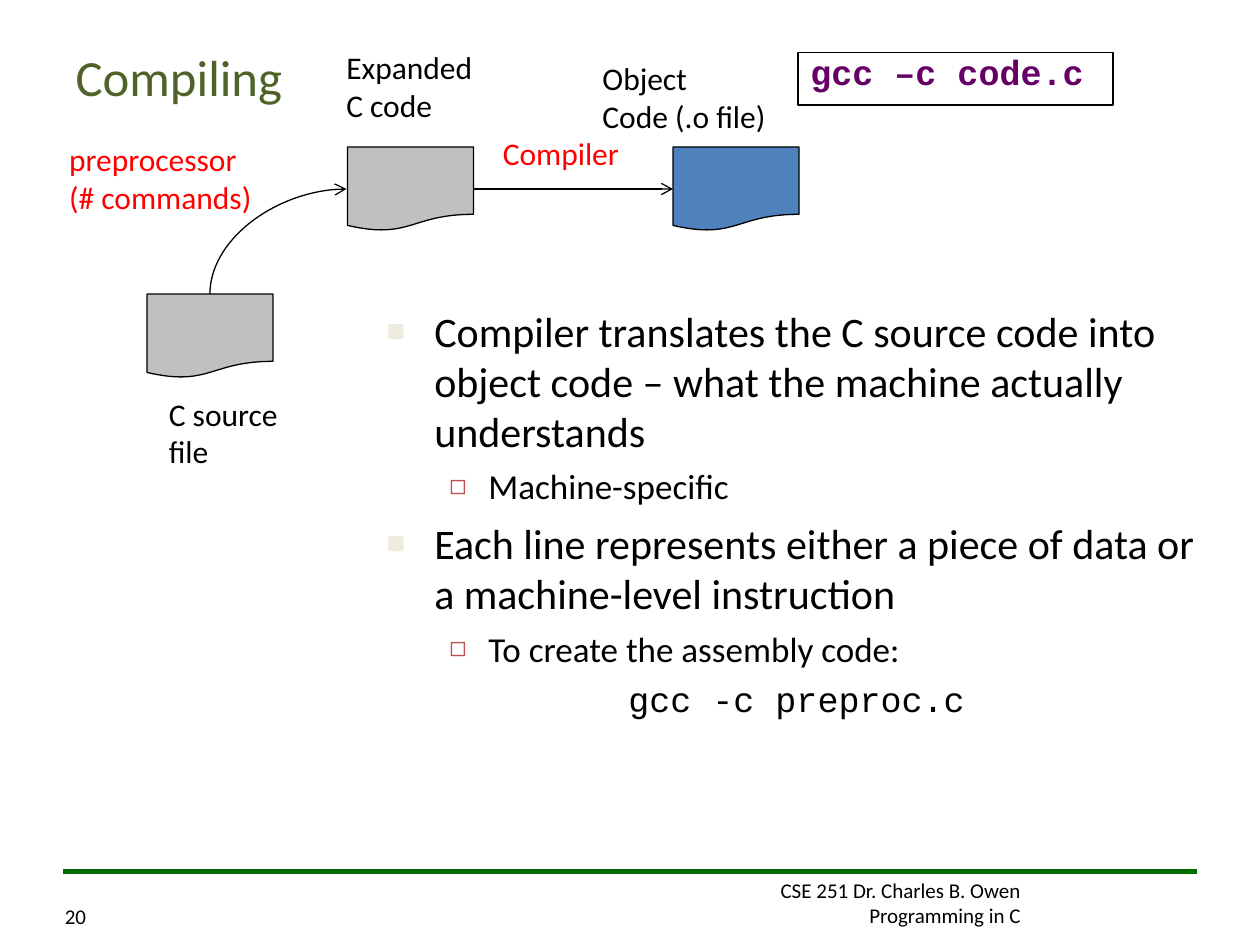
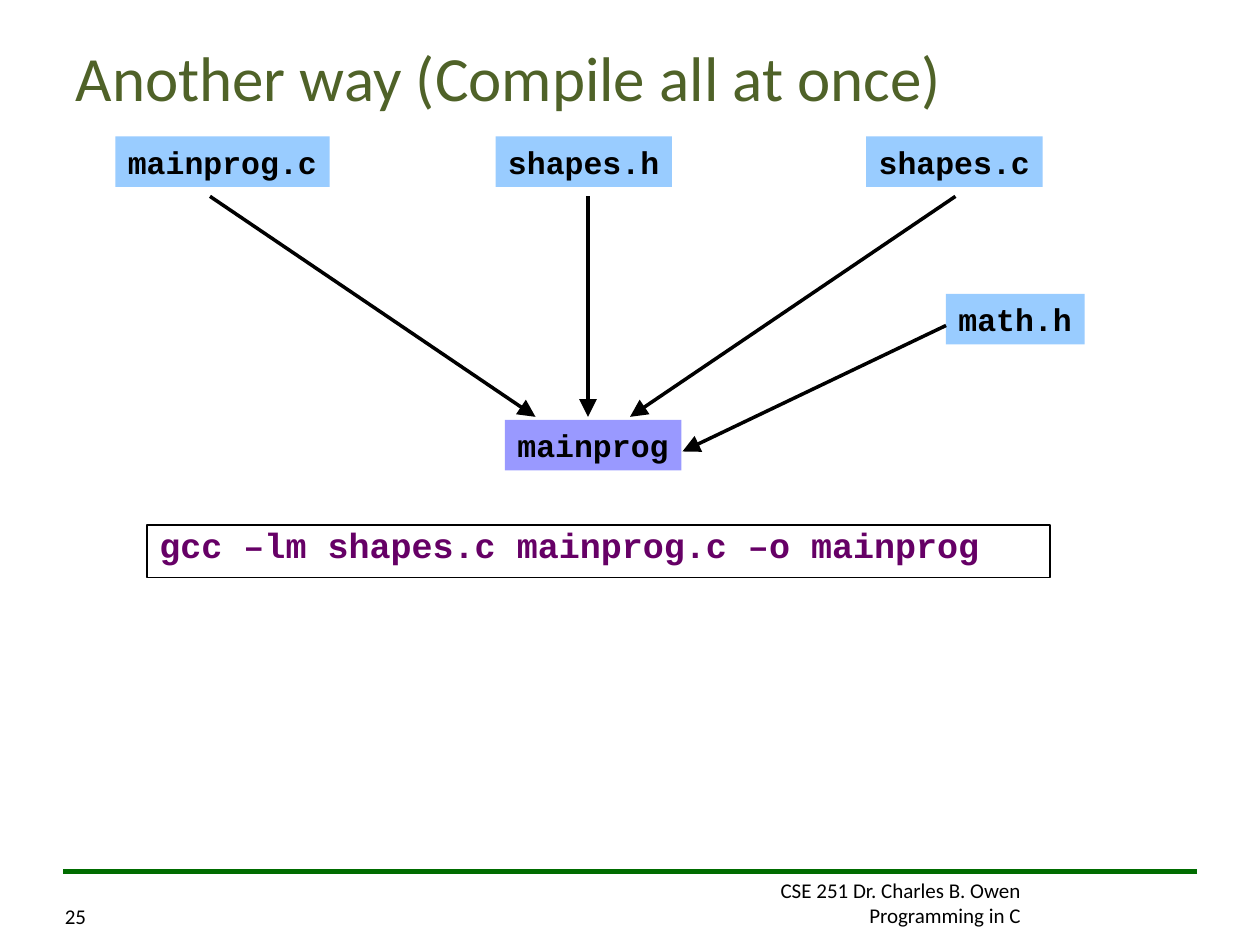
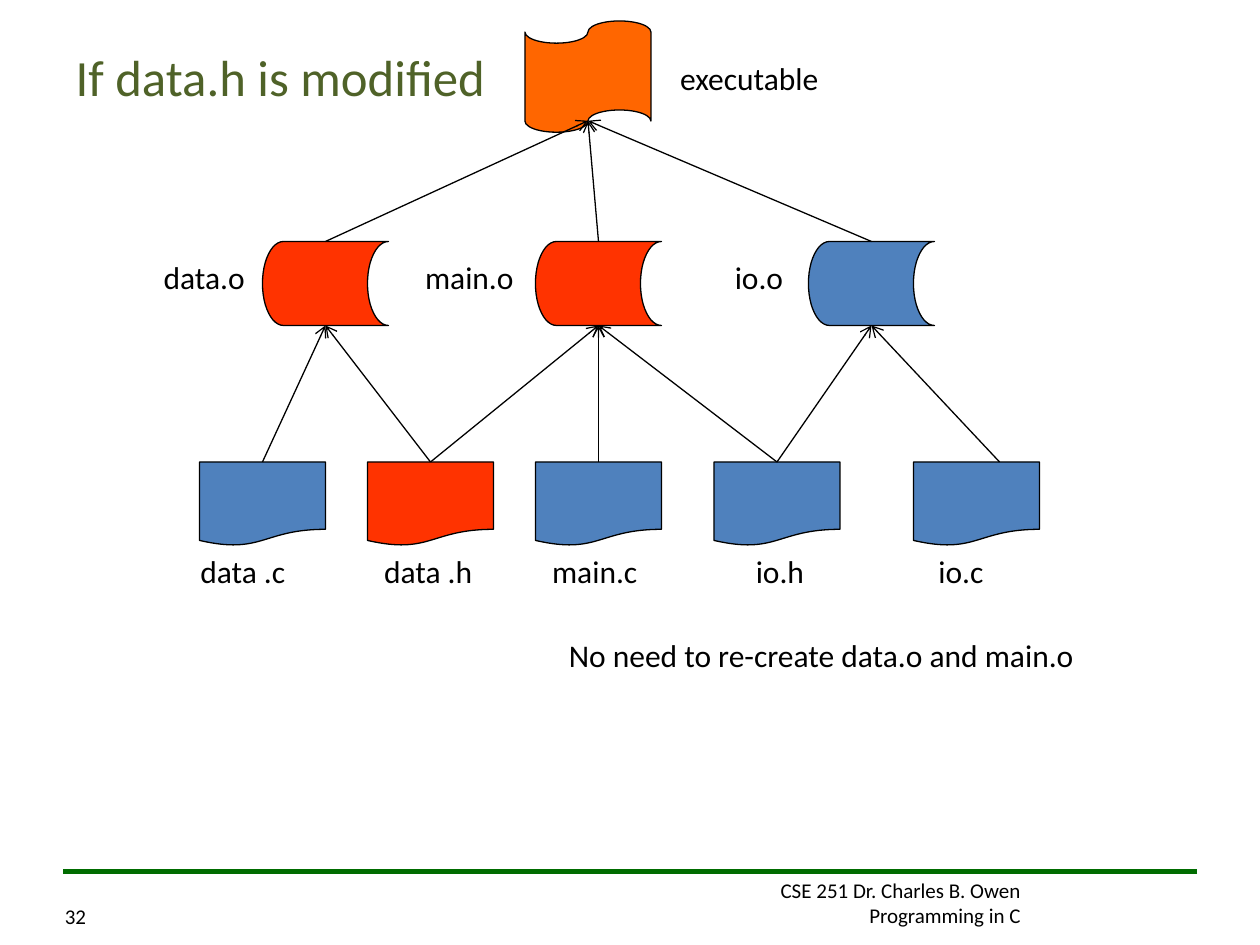
"""Build three slides on compiling C programs, laid out on a grid of 120 columns by 90 rows."""
import pptx
import pptx.dml.color
import pptx.enum.shapes
import pptx.enum.text
import pptx.oxml
import pptx.oxml.ns
import pptx.util
from lxml import etree

PRESETS = pptx.enum.shapes.MSO_SHAPE
LINES = pptx.enum.shapes.MSO_CONNECTOR
ALIGN = pptx.enum.text.PP_ALIGN
ANCHOR = pptx.enum.text.MSO_ANCHOR
AUTOSIZE = pptx.enum.text.MSO_AUTO_SIZE
qn = pptx.oxml.ns.qn

COLORS = {
    "ink": "000000", "title": "4F6228", "rule": "006C00", "step": "FF0000",
    "command": "660066", "paper": "FFFFFF", "source": "C0C0C0", "object": "4F81BD",
    "changed": "FF3300", "program": "FF6600", "file": "99CCFF", "target": "9999FF",
    "bullet": "EEECE1", "subbullet": "C0504D",
}
RGB = {part: pptx.dml.color.RGBColor.from_string(code) for part, code in COLORS.items()}
BODY_FONT, CODE_FONT = "Calibri", "Courier New"

deck = pptx.Presentation()
deck.slide_width, deck.slide_height = pptx.util.Inches(10), pptx.util.Inches(7.5)
CELL = deck.slide_width / 120


def place(slide, box, text="", preset=None, fill=None, edge=False, size=18, color="ink",
          font=BODY_FONT, bold=False, wrap=False, align=ALIGN.LEFT, anchor=ANCHOR.TOP, spacing=None):
    """Add a text box, or a filled preset shape, on grid cells."""
    frame = [round(cells * CELL) for cells in box]
    if preset is None:
        item = slide.shapes.add_textbox(*frame)
    else:
        item = slide.shapes.add_shape(preset, *frame)
        item.shadow.inherit = False
        item.fill.solid()
        item.fill.fore_color.rgb = RGB[fill]
        if edge:
            item.line.color.rgb = RGB["ink"]
            item.line.width = pptx.util.Pt(0.75)
        else:
            item.line.fill.background()
    if text:
        item.text_frame.text = text
        item.text_frame.word_wrap = wrap
        item.text_frame.vertical_anchor = anchor
        for paragraph in item.text_frame.paragraphs:
            paragraph.alignment = align
            paragraph.line_spacing = spacing
            for run in paragraph.runs:
                run.font.name, run.font.size, run.font.bold = font, pptx.util.Pt(size), bold
                run.font.color.rgb = RGB[color]


def link(slide, start, end, width=0.75, color="ink", head=None, head_size="med", kind=LINES.STRAIGHT):
    """Draw a line between two grid points, with an optional arrowhead at its end."""
    line = slide.shapes.add_connector(kind, *[round(cells * CELL) for cells in start + end])
    line.line.color.rgb = RGB[color]
    line.line.width = pptx.util.Pt(width)
    properties = line.element.spPr
    if head:
        etree.SubElement(properties.find(qn("a:ln")), qn("a:tailEnd"),
                         type=head, w=head_size, len=head_size)
    etree.SubElement(properties, qn("a:effectLst"))
    return line


slides = []
for title, size, number, layout in [
    ("Compiling", 29, "20", 1),
    ("Another way (Compile all at once)", 36, "25", 5),
    ("If data.h is modified", 29, "32", 5),
]:
    slide = deck.slides.add_slide(deck.slide_layouts[layout])
    heading = slide.shapes.title
    heading.left, heading.top, heading.width, heading.height = [
        round(cells * CELL) for cells in (6, 3.6, 108, 7.4)]
    heading.text_frame.text = title
    heading.text_frame.auto_size = AUTOSIZE.NONE
    heading.text_frame.vertical_anchor = ANCHOR.MIDDLE
    heading.text_frame.paragraphs[0].alignment = ALIGN.LEFT
    lettering = heading.text_frame.paragraphs[0].runs[0].font
    lettering.name, lettering.size = BODY_FONT, pptx.util.Pt(size)
    lettering.color.rgb = RGB["title"]
    place(slide, (58, 83, 40.4, 6), "CSE 251 Dr. Charles B. Owen\nProgramming in C",
          size=12, wrap=True, align=ALIGN.RIGHT)
    link(slide, (114, 83), (6, 83), 3, "rule")
    place(slide, (5, 83, 4.8, 6), number, size=12, anchor=ANCHOR.BOTTOM)
    slides.append(slide)
compiling, all_at_once, modified = slides

for left, top, stage in [(14, 28, "source"), (33.1, 14, "source"), (64.1, 14, "object")]:
    place(compiling, (left, top, 12, 8), preset=PRESETS.FLOWCHART_DOCUMENT, fill=stage, edge=True)
for box, caption, color in [
    ((14.9, 37, 13.5, 8.4), "C source\nfile", "ink"),
    ((5.4, 12.75, 20.5, 8.4), "preprocessor\n(# commands)", "step"),
    ((31.8, 4, 15, 8.4), "Expanded\nC code", "ink"),
    ((46.7, 12.15, 14.5, 4.8), "Compiler", "step"),
    ((56.2, 5.05, 18.5, 8.4), "Object\nCode (.o file)", "ink"),
]:
    place(compiling, box, caption, color=color)
preprocessing = link(compiling, (31.5, 29.5), (21.5, 16.5), head="arrow", kind=LINES.CURVE)
preprocessing.element.spPr.find(qn("a:prstGeom")).set("prst", "curvedConnector2")
preprocessing.element.spPr.find(qn("a:xfrm")).set("rot", "5400000")
link(compiling, (45.1, 18), (64.1, 18), head="arrow")

points = compiling.placeholders[1]
points.left, points.top, points.width, points.height = [
    round(cells * CELL) for cells in (35.6, 28.45, 80.8, 42.5)]
points.text_frame.auto_size = AUTOSIZE.NONE
points.text_frame.text = "\n".join([
    "Compiler translates the C source code into object code – what the machine actually understands",
    "Machine-specific",
    "Each line represents either a piece of data or a machine-level instruction",
    "To create the assembly code:",
    "gcc -c preproc.c",
])
LEVELS = [
    (24, 6, 0.38, 0.38, BODY_FONT, ("bullet", 75, "■")),
    (20, 5, 0.81, 0.31, BODY_FONT, ("subbullet", 80, "◻")),
    (20, 5, 1.92, 0, CODE_FONT, None),
]
for paragraph, level in zip(points.text_frame.paragraphs, [0, 1, 0, 1, 2]):
    size, gap, margin, hanging, font, bullet = LEVELS[level]
    paragraph.level = level
    paragraph.space_before = pptx.util.Pt(gap)
    paragraph.runs[0].font.name, paragraph.runs[0].font.size = font, pptx.util.Pt(size)
    paragraph.runs[0].font.color.rgb = RGB["ink"]
    properties = paragraph._p.get_or_add_pPr()
    properties.set("marL", str(pptx.util.Inches(margin)))
    properties.set("indent", str(-pptx.util.Inches(hanging)))
    if bullet:
        color, share, mark = bullet
        tint = etree.SubElement(properties, qn("a:buClr"))
        etree.SubElement(tint, qn("a:srgbClr"), val=COLORS[color])
        etree.SubElement(properties, qn("a:buSzPct"), val=str(share * 1000))
        etree.SubElement(properties, qn("a:buChar"), char=mark)
    else:
        etree.SubElement(properties, qn("a:buNone"))

for slide, box, command in [
    (compiling, (76, 5, 30, 5), "gcc –c code.c"),
    (all_at_once, (14, 50, 86, 5), "gcc –lm shapes.c mainprog.c –o mainprog"),
]:
    place(slide, box, command, PRESETS.RECTANGLE, "paper", True, 20, "command",
          CODE_FONT, True, wrap=True, spacing=0.8)

for left, top, name, role in [
    (11, 13, "mainprog.c", "file"), (47.2, 13, "shapes.h", "file"), (82.5, 13, "shapes.c", "file"),
    (90.1, 28, "math.h", "file"), (48.1, 40, "mainprog", "target"),
]:
    place(all_at_once, (left, top, 2.4 + 1.8 * len(name), 4.8), name, PRESETS.RECTANGLE, role,
          font=CODE_FONT, bold=True)
for start, end in [
    ((20, 18.7), (51, 39.7)), ((91, 18.7), (60, 39.7)),
    ((56, 18.7), (56, 39.7)), ((90.1, 31), (65, 43)),
]:
    link(all_at_once, start, end, 2, head="triangle", head_size="lg")

place(modified, (50, 2, 12, 10.6), preset=PRESETS.FLOWCHART_PUNCHED_TAPE, fill="program", edge=True)
place(modified, (63.6, 5, 16.5, 4.8), "executable")
for preset, top, label_top, row in [
    (PRESETS.FLOWCHART_STORED_DATA, 23, 24, [
        (25, "changed", "data.o", 14.4), (51, "changed", "main.o", 39.3),
        (77, "object", "io.o", 68.8)]),
    (PRESETS.FLOWCHART_DOCUMENT, 44, 52, [
        (19, "object", "data .c", 17.9), (35, "changed", "data .h", 35.4),
        (51, "object", "main.c", 51.4), (68, "object", "io.h", 70.8),
        (87, "object", "io.c", 88.2)]),
]:
    for left, state, name, label_left in row:
        place(modified, (left, top, 12, 8), preset=preset, fill=state, edge=True)
        place(modified, (label_left, label_top, 12, 4.8), name)
for source_x, object_x in [(25, 31), (41, 31), (41, 57), (57, 57), (74, 57), (74, 83), (95.2, 83)]:
    link(modified, (source_x, 44), (object_x, 31), head="arrow")
for object_x in (31, 57, 83):
    link(modified, (object_x, 23), (56, 11.5), head="arrow")
place(modified, (53, 60, 59, 4.8), "No need to re-create data.o and main.o", wrap=True)

deck.save("out.pptx")
